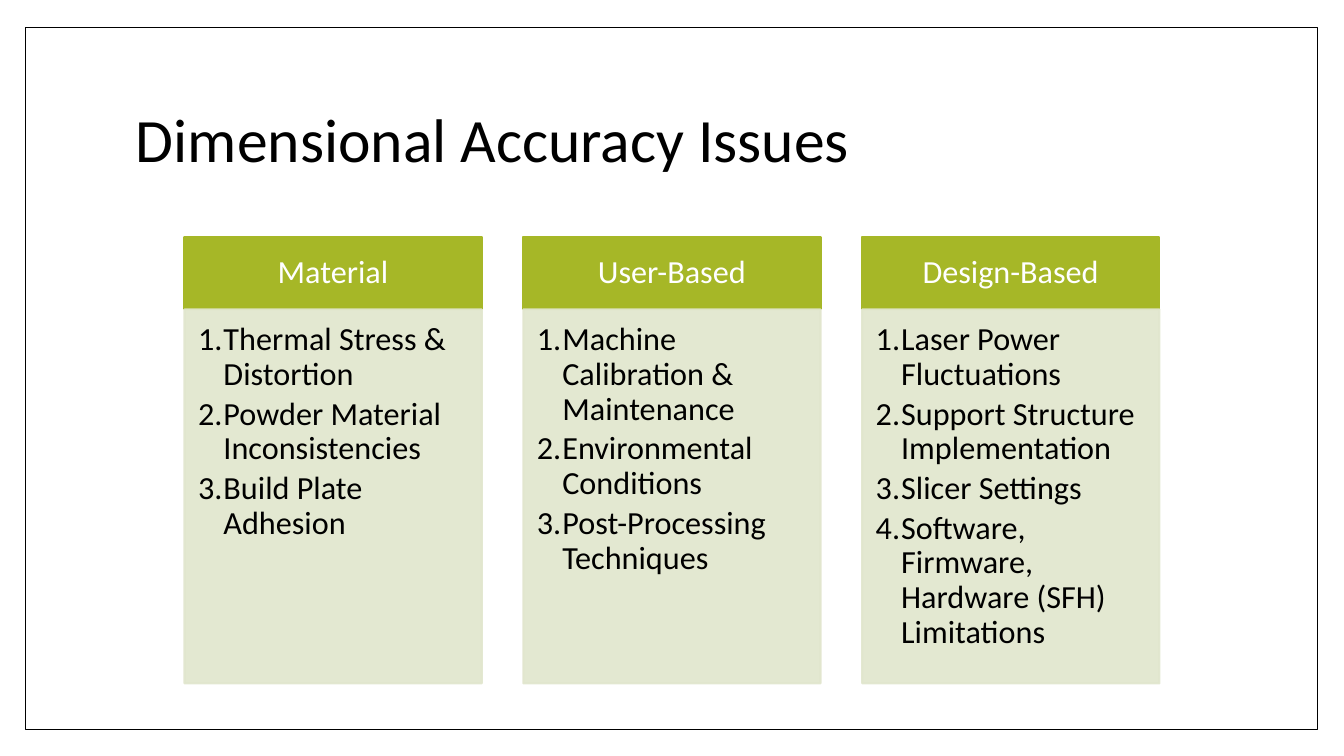
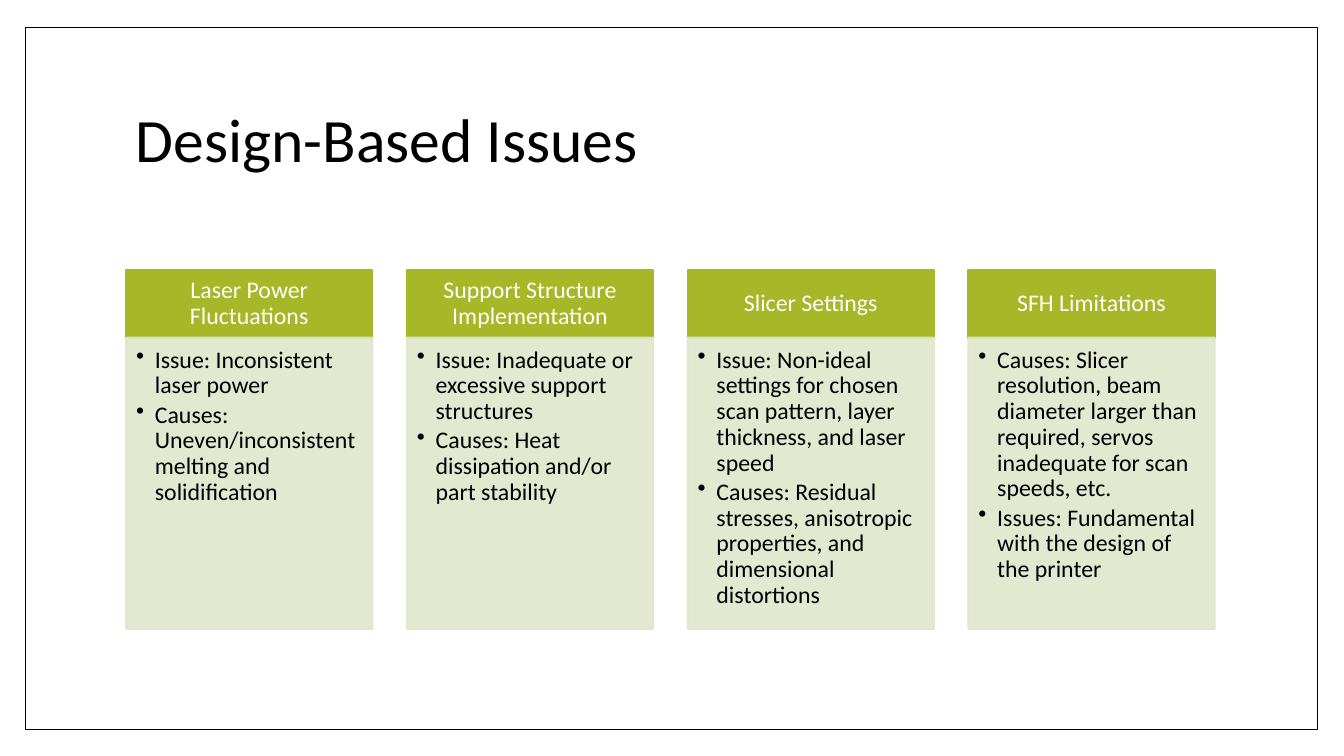
import dataclasses

import pptx
import pptx.dml.color
import pptx.enum.shapes
import pptx.enum.text
import pptx.oxml.ns
import pptx.util
from lxml import etree

Pt = pptx.util.Pt
RGB = pptx.dml.color.RGBColor.from_string
ALIGN = pptx.enum.text.PP_ALIGN
ANCHOR = pptx.enum.text.MSO_ANCHOR


@dataclasses.dataclass(frozen=True)
class Theme:
    font: str = "Calibri"
    ink: str = "000000"
    paper: str = "FFFFFF"
    header: str = "A6B727"
    body: str = "E1E6CD"
    body_opacity: int = 90
    title_size: int = 44
    line_spacing: float = 0.9
    frame_line: float = 1
    card_line: float = 1.5


THEME = Theme()
WIDTH = pptx.util.Inches(13.33)
HEIGHT = pptx.util.Inches(7.5)
CARD_GAP = 0.14
NUMBERS = ("buAutoNum", {"type": "arabicPeriod"})
BULLETS = ("buChar", {"char": "•"})


def area(left, top, width, height):
    """Turns percentages of the slide into lengths."""
    return [round(share * side / 100) for share, side in
            zip((left, top, width, height), (WIDTH, HEIGHT) * 2)]


def add_child(parent, tag, **attributes):
    return etree.SubElement(parent, pptx.oxml.ns.qn("a:" + tag), attributes)


def add_panel(page, place, fill, line, line_width, opacity=100):
    panel = page.shapes.add_shape(pptx.enum.shapes.MSO_SHAPE.RECTANGLE, *area(*place))
    panel.shadow.inherit = False
    panel.fill.solid()
    panel.fill.fore_color.rgb = RGB(fill)
    panel.line.color.rgb = RGB(line)
    panel.line.width = Pt(line_width)
    if opacity < 100:
        for color in panel.element.spPr.iter(pptx.oxml.ns.qn("a:srgbClr")):
            add_child(color, "alpha", val=str(opacity * 1000))
    return panel


def write(box, texts, size, color, align=ALIGN.LEFT, anchor=ANCHOR.MIDDLE,
          insets=None, marker=None):
    frame = box.text_frame
    frame.word_wrap = True
    frame.vertical_anchor = anchor
    if insets:
        (frame.margin_left, frame.margin_top,
         frame.margin_right, frame.margin_bottom) = [Pt(size * em) for em in insets]
    for index, text in enumerate(texts):
        para = frame.paragraphs[0] if index == 0 else frame.add_paragraph()
        para.text = text
        para.alignment = align
        para.line_spacing = THEME.line_spacing
        if marker:
            para.space_after = Pt(size * 0.15)
            tag, attributes = marker
            properties = para._p.get_or_add_pPr()
            indent = Pt(size * 0.79)
            properties.set("marL", str(indent))
            properties.set("indent", str(-indent))
            add_child(properties, tag, **attributes)
        para.font.name = THEME.font
        para.font.size = Pt(size)
        para.font.color.rgb = RGB(color)


def add_page(deck, title):
    page = deck.slides.add_slide(deck.slide_layouts[6])
    add_panel(page, (1.88, 3.6, 96.17, 92.93), THEME.paper, THEME.ink, THEME.frame_line)
    box = page.shapes.add_textbox(*area(9.38, 8.93, 81, 19.73))
    write(box, [title], THEME.title_size, THEME.ink)
    return page


def add_cards(page, cards, left, span, top, header_height, body_height, size, marker):
    width = span / (len(cards) + (len(cards) - 1) * CARD_GAP)
    for column, (heading, items) in enumerate(cards):
        x = left + column * width * (1 + CARD_GAP)
        header = add_panel(page, (x, top, width, header_height),
                           THEME.header, THEME.header, THEME.card_line)
        write(header, [heading], size, THEME.paper, ALIGN.CENTER,
              insets=(0.56, 0.32, 0.56, 0.32))
        body = add_panel(page, (x, top + header_height, width, body_height),
                         THEME.body, THEME.body, THEME.card_line, THEME.body_opacity)
        write(body, items, size, THEME.ink, anchor=ANCHOR.TOP,
              insets=(0.42, 0.42, 0.56, 0.63), marker=marker)


def main():
    deck = pptx.Presentation()
    deck.slide_width, deck.slide_height = WIDTH, HEIGHT

    accuracy = [
        ("Material", ["Thermal Stress & Distortion",
                      "Powder Material Inconsistencies",
                      "Build Plate Adhesion"]),
        ("User-Based", ["Machine Calibration & Maintenance",
                        "Environmental Conditions",
                        "Post-Processing Techniques"]),
        ("Design-Based", ["Laser Power Fluctuations",
                          "Support Structure Implementation",
                          "Slicer Settings",
                          "Software, Firmware, Hardware (SFH) Limitations"]),
    ]
    add_cards(add_page(deck, "Dimensional Accuracy Issues"), accuracy,
              left=13.73, span=72.54, top=31.33, header_height=9.6,
              body_height=49.47, size=23, marker=NUMBERS)

    design = [
        ("Laser Power Fluctuations", [
            "Issue: Inconsistent laser power",
            "Causes: Uneven/inconsistent melting and solidification"]),
        ("Support Structure Implementation", [
            "Issue: Inadequate or excessive support structures",
            "Causes: Heat dissipation and/or part stability"]),
        ("Slicer Settings", [
            "Issue: Non-ideal settings for chosen scan pattern, "
            "layer thickness, and laser speed",
            "Causes: Residual stresses, anisotropic properties, "
            "and dimensional distortions"]),
        ("SFH Limitations", [
            "Causes: Slicer resolution, beam diameter larger than required, "
            "servos inadequate for scan speeds, etc.",
            "Issues: Fundamental with the design of the printer"]),
    ]
    add_cards(add_page(deck, "Design-Based Issues"), design,
              left=9.38, span=81, top=35.73, header_height=8.93,
              body_height=38.53, size=17, marker=BULLETS)

    deck.save("out.pptx")


if __name__ == "__main__":
    main()
